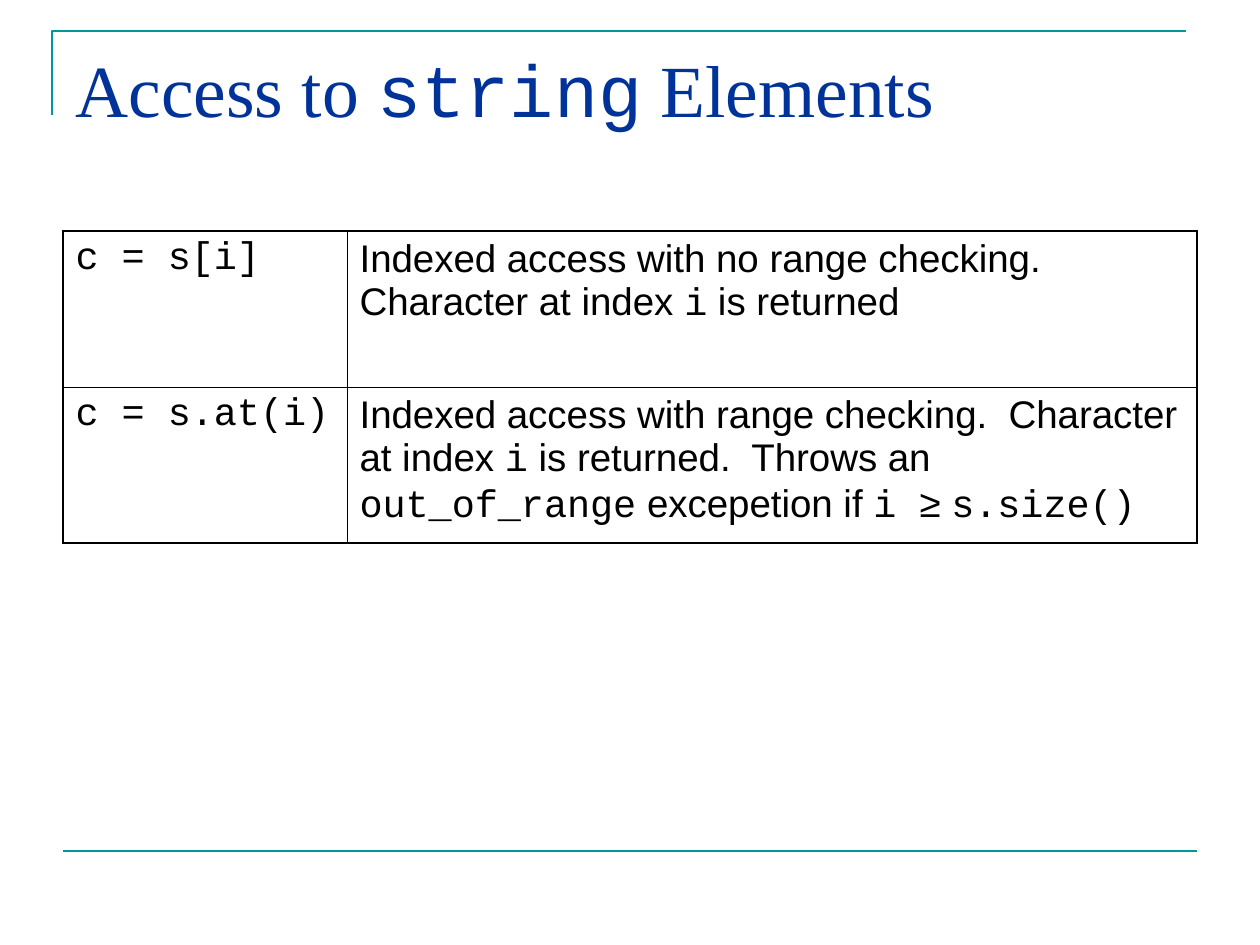
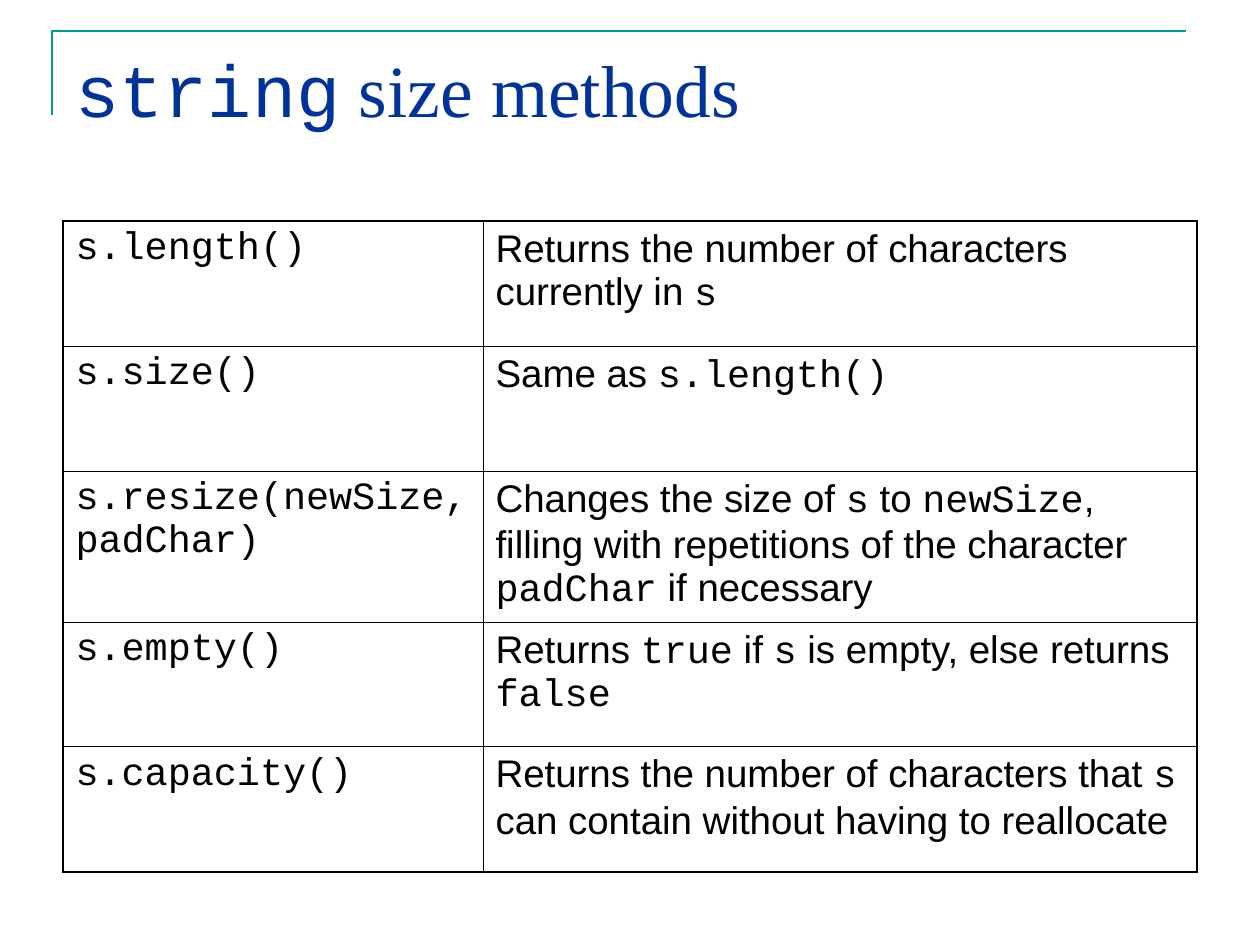
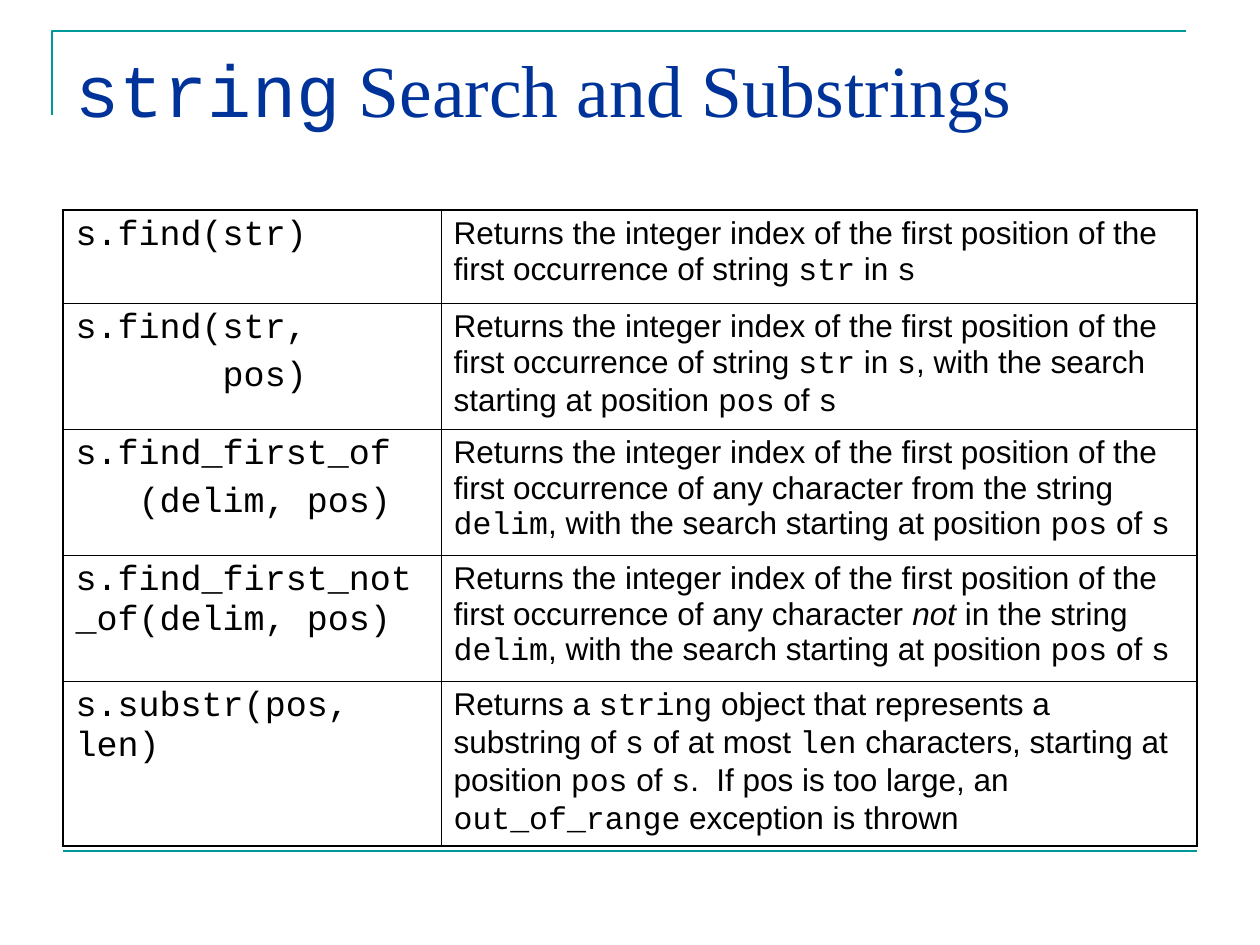
from pptx import Presentation, util as u
from pptx.dml.color import RGBColor
from pptx.enum import shapes, text
from pptx.oxml import parse_xml
from pptx.oxml.ns import nsdecls

TEAL, NAVY, BLACK, WHITE = "009999", "003399", "000000", "FFFFFF"
SERIF, SANS, CODE = "Times New Roman", "Arial", "Courier New"
LEFT, WIDE = 63, 1134
OUTER, INNER = 1.08, 0.45

# `code` is set in the code font, *word* in italics; a line break starts a paragraph.
SLIDES = [
    {
        "title": "Access to `string` Elements",
        "top": 231, "cols": [284, 850], "rows": [156, 156],
        "sizes": [22, 22], "fill": WHITE,
        "cells": [
            ("c = s[i]",
             "Indexed access with no range checking.  "
             "Character at index `i` is returned"),
            ("c = s.at(i)",
             "Indexed access with range checking.  "
             "Character at index `i` is returned.  Throws an "
             "`out_of_range` excepetion if `i `≥ `s.size()`"),
        ],
    },
    {
        "title": "`string` size methods",
        "top": 221, "cols": [420, 714], "rows": [125, 125, 151, 125, 125],
        "sizes": [22, 22], "fill": WHITE,
        "cells": [
            ("s.length()",
             "Returns the number of characters currently in `s`"),
            ("s.size()", "Same as `s.length()`"),
            ("s.resize(newSize, padChar)",
             "Changes the size of `s` to `newSize`, filling with "
             "repetitions of the character `padChar` if necessary"),
            ("s.empty()",
             "Returns `true` if `s` is empty, else returns `false`"),
            ("s.capacity()",
             "Returns the number of characters that `s` can contain "
             "without having to reallocate"),
        ],
    },
    {
        "title": "`string` Search and Substrings",
        "top": 210, "cols": [378, 756], "rows": [93, 126, 126, 126, 164],
        "sizes": [20, 18], "fill": None,
        "cells": [
            ("s.find(str)",
             "Returns the integer index of the first position of the "
             "first occurrence of string `str` in `s`"),
            ("s.find(str,\n       pos)",
             "Returns the integer index of the first position of the "
             "first occurrence of string `str` in `s`, with the search "
             "starting at position `pos` of `s`"),
            ("s.find_first_of\n   (delim, pos)",
             "Returns the integer index of the first position of the "
             "first occurrence of any character from the string `delim`, "
             "with the search starting at position `pos` of `s`"),
            ("s.find_first_not_of(delim, pos)",
             "Returns the integer index of the first position of the "
             "first occurrence of any character *not* in the string "
             "`delim`, with the search starting at position `pos` of `s`"),
            ("s.substr(pos, len)",
             "Returns a `string` object that represents a substring of "
             "`s` of at most `len` characters, starting at position "
             "`pos` of `s`.  If pos is too large, an `out_of_range` "
             "exception is thrown"),
        ],
    },
]


def px(n):
    return u.Emu(round(n * 914400 / 126))


def rgb(code):
    return RGBColor.from_string(code)


def write(para, words, face, size, color):
    """Add marked-up words to a paragraph, run by run."""
    for i, part in enumerate(words.split("`")):
        for j, bit in enumerate(part.split("*")):
            if bit:
                run = para.add_run()
                run.text = bit
                font = run.font
                font.name = CODE if i % 2 else face
                font.size = u.Pt(size)
                font.color.rgb = rgb(color)
                if j % 2:
                    font.italic = True


def frame(layout, slide):
    """Draw the teal rules and move them, with the title's place, to the layout."""
    pen = slide.shapes.build_freeform(px(52), px(115))
    pen.add_line_segments([(px(52), px(31)), (px(1186), px(31))], close=False)
    corner = pen.convert_to_shape()
    corner.fill.background()
    corner.shadow.inherit = False
    foot = slide.shapes.add_connector(
        shapes.MSO_CONNECTOR.STRAIGHT,
        px(LEFT), px(851), px(LEFT + WIDE), px(851))
    foot.element.spPr.append(parse_xml(f"<a:effectLst {nsdecls('a')}/>"))
    for rule in (corner, foot):
        rule.line.color.rgb = rgb(TEAL)
        rule.line.width = u.Pt(1.5)
        layout.shapes.element.append(rule.element)
    title = layout.placeholders[0]
    title.left, title.top = px(LEFT), px(38)
    title.width, title.height = px(WIDE), px(158)
    title.text_frame.vertical_anchor = text.MSO_ANCHOR.TOP


def edge(cell, side, width):
    cell._tc.get_or_add_tcPr().append(parse_xml(
        f'<a:ln{side} {nsdecls("a")} w="{u.Pt(width)}"><a:solidFill>'
        f'<a:srgbClr val="{BLACK}"/></a:solidFill></a:ln{side}>'))


def grid(slide, data):
    """Add the table of calls and their meanings."""
    rows, cols = data["rows"], data["cols"]
    table = slide.shapes.add_table(
        len(rows), len(cols), px(LEFT), px(data["top"]),
        px(sum(cols)), px(sum(rows))).table
    table.first_row = table.horz_banding = False
    for col, width in zip(table.columns, cols):
        col.width = px(width)
    for row, height in zip(table.rows, rows):
        row.height = px(height)
    for r, pair in enumerate(data["cells"]):
        for c, words in enumerate(pair):
            cell = table.cell(r, c)
            ends = {"L": c == 0, "R": c == len(cols) - 1,
                    "T": r == 0, "B": r == len(rows) - 1}
            for side, end in ends.items():
                edge(cell, side, OUTER if end else INNER)
            if data["fill"]:
                cell.fill.solid()
                cell.fill.fore_color.rgb = rgb(data["fill"])
            else:
                cell.fill.background()
            size = data["sizes"][c]
            for n, line in enumerate(words.split("\n")):
                box = cell.text_frame
                para = box.add_paragraph() if n else box.paragraphs[0]
                if n:
                    para.space_before = u.Pt(size / 4)
                write(para, line, SANS if c else CODE, size, BLACK)


def main():
    deck = Presentation()
    deck.slide_width, deck.slide_height = px(1260), px(945)
    layout = deck.slide_layouts[5]
    for n, data in enumerate(SLIDES):
        slide = deck.slides.add_slide(layout)
        if n == 0:
            frame(layout, slide)
        para = slide.shapes.title.text_frame.paragraphs[0]
        para.alignment = text.PP_ALIGN.LEFT
        write(para, data["title"], SERIF, 42, NAVY)
        grid(slide, data)
    deck.save("out.pptx")


if __name__ == "__main__":
    main()
